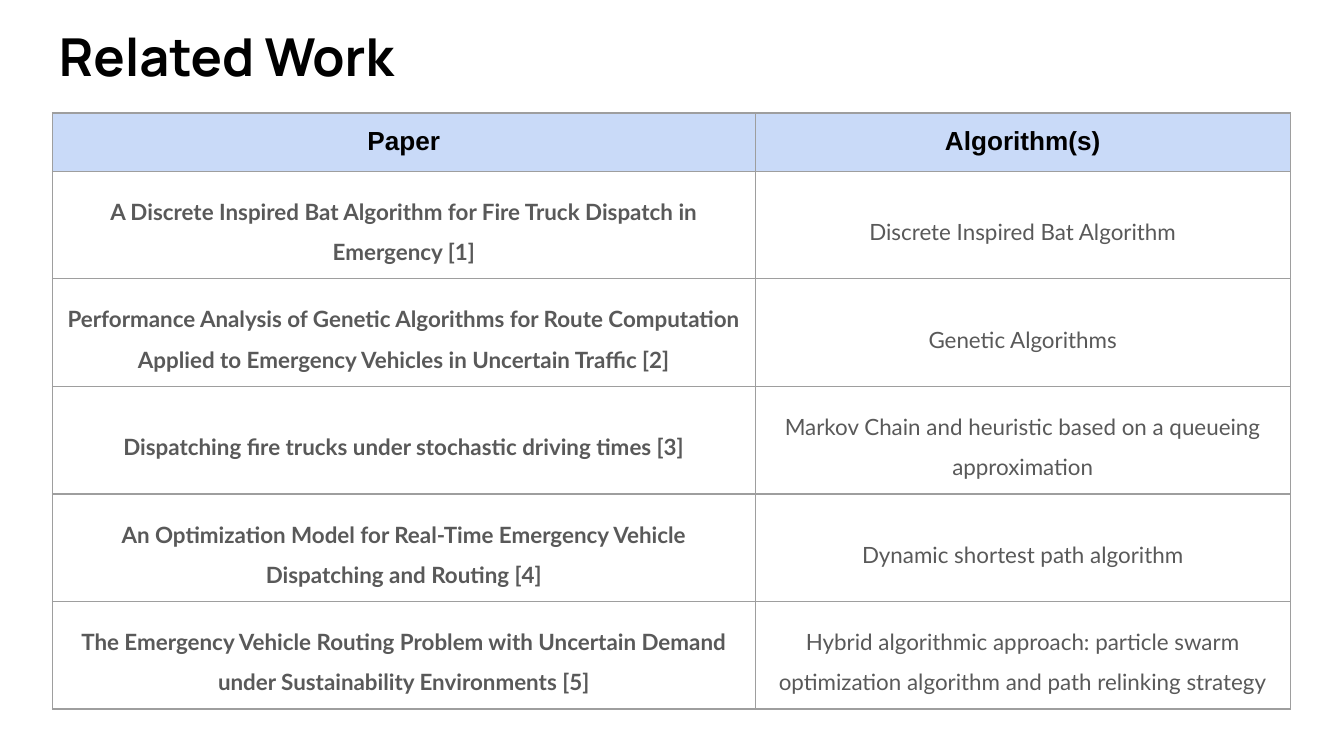
from pptx import Presentation
from pptx.dml.color import RGBColor
from pptx.enum.text import MSO_ANCHOR, PP_ALIGN
from pptx.oxml import parse_xml
from pptx.oxml.ns import nsdecls
from pptx.util import Inches, Pt

BLACK = RGBColor(0x00, 0x00, 0x00)
GRAY = RGBColor(0x59, 0x59, 0x59)
BLUE = RGBColor(0xC9, 0xDA, 0xF8)
RULE = RGBColor(0x9E, 0x9E, 0x9E)

ROWS = [
    ("Paper", "Algorithm(s)"),
    ("A Discrete Inspired Bat Algorithm for Fire Truck Dispatch in Emergency [1]",
     "Discrete Inspired Bat Algorithm"),
    ("Performance Analysis of Genetic Algorithms for Route Computation "
     "Applied to Emergency Vehicles in Uncertain Traffic [2]",
     "Genetic Algorithms"),
    ("Dispatching fire trucks under stochastic driving times [3]",
     "Markov Chain and heuristic based on a queueing approximation"),
    ("An Optimization Model for Real-Time Emergency Vehicle Dispatching and Routing [4]",
     "Dynamic shortest path algorithm"),
    ("The Emergency Vehicle Routing Problem with Uncertain Demand "
     "under Sustainability Environments [5]",
     "Hybrid algorithmic approach: particle swarm optimization algorithm "
     "and path relinking strategy"),
]
WIDTHS = (5.23, 3.98)
HEIGHTS = (0.34, 0.58, 0.73, 0.8, 0.59, 0.8)  # rows grow to fit their text
SIDE = Inches(3.28)


def style(par, name, size, color, bold):
    font = par.runs[0].font
    font.name, font.size, font.bold = name, Pt(size), bold
    font.color.rgb = color


def border(cell):
    """Draw a thin rule on all four sides; call before setting the fill."""
    props = cell._tc.get_or_add_tcPr()
    for side in ("lnL", "lnR", "lnT", "lnB"):
        props.append(parse_xml(
            f'<a:{side} {nsdecls("a")} w="{Pt(0.75)}"><a:solidFill>'
            f'<a:srgbClr val="{RULE}"/></a:solidFill></a:{side}>'))


prs = Presentation()
prs.slide_width = Inches(10)
prs.slide_height = prs.slide_width * 9 // 16
slide = prs.slides.add_slide(prs.slide_layouts[6])

title = slide.shapes.add_textbox(Inches(0.34), Inches(0.08), Inches(8.41), Inches(0.59))
frame = title.text_frame
frame.word_wrap = True
frame.margin_left = frame.margin_right = Inches(0.1)
frame.margin_top = frame.margin_bottom = Inches(0.1)
frame.text = "Related Work"
style(frame.paragraphs[0], "Manrope", 28, BLACK, True)

grid = slide.shapes.add_table(
    len(ROWS), len(WIDTHS), Inches(0.39), Inches(0.84), SIDE, SIDE)
table = grid.table
table.horz_banding = False
for col, width in zip(table.columns, WIDTHS):
    col.width = Inches(width)
for row, height in zip(table.rows, HEIGHTS):
    row.height = Inches(height)
grid.width = grid.height = SIDE

for r, texts in enumerate(ROWS):
    for c, text in enumerate(texts):
        cell = table.cell(r, c)
        cell.margin_left = cell.margin_right = Inches(0.1)
        cell.margin_top = cell.margin_bottom = Inches(0.1)
        border(cell)
        cell.text_frame.text = text
        par = cell.text_frame.paragraphs[0]
        par.alignment = PP_ALIGN.CENTER
        if r == 0:
            cell.fill.solid()
            cell.fill.fore_color.rgb = BLUE
            style(par, "Arial", 14, BLACK, True)
        else:
            cell.fill.background()
            cell.vertical_anchor = MSO_ANCHOR.MIDDLE
            par.line_spacing = 1.5
            style(par, "Lato", 12, GRAY, c == 0)

prs.save("out.pptx")
